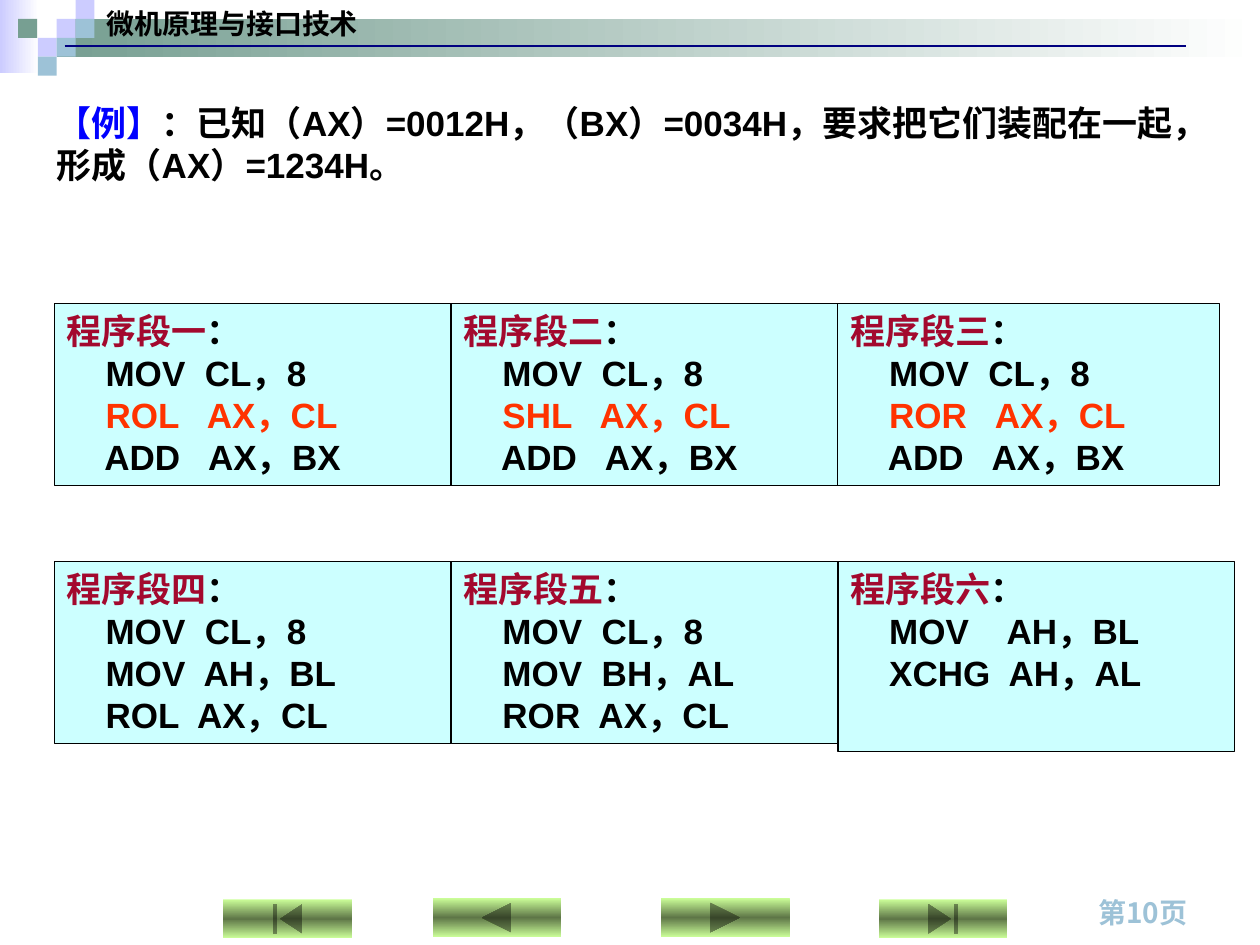
from copy import deepcopy
from typing import NamedTuple

from pptx import Presentation
from pptx.dml.color import RGBColor as RGB
from pptx.enum.shapes import MSO_CONNECTOR as CONN, MSO_SHAPE as SHAPE
from pptx.enum.text import MSO_ANCHOR as ANCHOR, PP_ALIGN as ALIGN
from pptx.oxml.ns import qn
from pptx.oxml.xmlchemy import OxmlElement
from pptx.util import Pt

COLORS = {
    "lilac": "CCCCFF", "white": "FFFFFF", "green": "779F92", "blue": "9DC2D7",
    "black": "000000", "navy": "000080", "lime": "CCFF99", "olive": "5E7647",
    "label": "0000FF", "box": "CCFFFF", "title": "A3092E", "accent": "FF3300",
}
CJK = "Noto Sans CJK SC"


class Box(NamedTuple):
    x: float
    y: float
    w: float
    h: float


class Run(NamedTuple):
    text: str
    color: str = "black"


class Segment(NamedTuple):
    number: str
    box: Box
    code: list[str]
    accent: int = -1  # index of the highlighted line


class Button(NamedTuple):
    shape: SHAPE
    box: Box


def rgb(name: str) -> RGB:
    return RGB.from_string(COLORS[name])


def set_gradient(sp, names: list[str], angle: int) -> None:
    fill = sp.fill
    fill.gradient()
    fill.gradient_angle = angle
    stops = sp._element.spPr.find(".//" + qn("a:gsLst"))
    for _ in range(len(names) - 2):
        stops.append(deepcopy(stops[-1]))
    for i, (stop, name) in enumerate(zip(fill.gradient_stops, names)):
        stop.color.rgb = rgb(name)
        stop.position = i / (len(names) - 1)


def add_shape(slide, shape: SHAPE, box: Box, fills: list[str], angle: int = 0):
    sp = slide.shapes.add_shape(shape, *map(Pt, box))
    sp.shadow.inherit = False
    sp.line.fill.background()
    if len(fills) == 1:
        sp.fill.solid()
        sp.fill.fore_color.rgb = rgb(fills[0])
    else:
        set_gradient(sp, fills, angle)
    return sp


def write(sp, lines: list[list[Run]], size: float, font: str = "Arial") -> None:
    tf = sp.text_frame
    frame = {"word_wrap": True, "vertical_anchor": ANCHOR.TOP,
             "margin_left": Pt(7.2), "margin_right": Pt(7.2),
             "margin_top": Pt(3.6), "margin_bottom": Pt(3.6)}
    for name, value in frame.items():
        setattr(tf, name, value)
    for i, runs in enumerate(lines):
        p = tf.paragraphs[0] if i == 0 else tf.add_paragraph()
        p.alignment = ALIGN.LEFT
        for run in runs:
            r = p.add_run()
            r.text = run.text
            for name, value in {"size": Pt(size), "name": font, "bold": True}.items():
                setattr(r.font, name, value)
            r.font.color.rgb = rgb(run.color)
            ea = OxmlElement("a:ea")
            ea.set("typeface", CJK)
            r._r.get_or_add_rPr().append(ea)


def add_text(slide, box: Box, runs: list[Run], size: float, font: str) -> None:
    write(slide.shapes.add_textbox(*map(Pt, box)), [runs], size, font)


def add_segment(slide, seg: Segment) -> None:
    sp = add_shape(slide, SHAPE.RECTANGLE, seg.box, ["box"])
    sp.line.color.rgb = rgb("black")
    sp.line.width = Pt(0.75)
    lines = [[Run("程序段" + seg.number, "title"), Run("：")]]
    for i, code in enumerate(seg.code):
        lines.append([Run("    " + code, "accent" if i == seg.accent else "black")])
    write(sp, lines, 20)


def add_rule(slide, x1: float, x2: float, y: float) -> None:
    line = slide.shapes.add_connector(CONN.STRAIGHT, Pt(x1), Pt(y), Pt(x2), Pt(y))
    line.line.color.rgb = rgb("navy")
    line.line.width = Pt(1.25)
    line._element.spPr.append(OxmlElement("a:effectLst"))


# Header tiles: left, top, colour
TILE = 10.8
TILES = [(32.4, 10.8, "lilac"), (43.2, 0, "lilac"), (43.2, 10.8, "blue"),
         (21.6, 21.6, "lilac"), (10.4, 10.8, "green"), (32.4, 21.6, "blue"),
         (21.6, 32.4, "blue")]

BUTTONS = [
    Button(SHAPE.ACTION_BUTTON_BEGINNING, Box(127.4, 513.9, 74.2, 22.3)),
    Button(SHAPE.ACTION_BUTTON_BACK_OR_PREVIOUS, Box(247.2, 513.2, 73.4, 22.3)),
    Button(SHAPE.ACTION_BUTTON_FORWARD_OR_NEXT, Box(377.5, 513.2, 73.7, 22.3)),
    Button(SHAPE.ACTION_BUTTON_END, Box(502.2, 513.9, 73.4, 22.3)),
]

# Program segments: three columns, two rows
X1, X2, X3 = 31, 257.8, 478.8
TOP, BOTTOM, HEIGHT, WIDTH = 173.4, 320.8, 104, 226.8
LOAD, ADD = "MOV  CL，8", "ADD   AX，BX"
SEGMENTS = [
    Segment("一", Box(X1, TOP, WIDTH, HEIGHT), [LOAD, "ROL   AX，CL", ADD], 1),
    Segment("二", Box(X2, TOP, X3 - X2, HEIGHT), [LOAD, "SHL   AX，CL", ADD], 1),
    Segment("三", Box(X3, TOP, 218.2, HEIGHT), [LOAD, "ROR   AX，CL", ADD], 1),
    Segment("四", Box(X1, BOTTOM, WIDTH, HEIGHT),
            [LOAD, "MOV  AH，BL", "ROL  AX，CL"]),
    Segment("五", Box(X2, BOTTOM, WIDTH, HEIGHT),
            [LOAD, "MOV  BH，AL", "ROR  AX，CL"]),
    Segment("六", Box(X3, BOTTOM, WIDTH, 108.7), ["MOV    AH，BL", "XCHG  AH，AL"]),
]


def main() -> None:
    prs = Presentation()
    prs.slide_width, prs.slide_height = Pt(720), Pt(540)
    slide = prs.slides.add_slide(prs.slide_layouts[6])

    # Header band
    add_shape(slide, SHAPE.RECTANGLE, Box(0, 0, 22.3, 41.8), ["lilac", "white"])
    add_shape(slide, SHAPE.RECTANGLE, Box(32.4, 10.8, 687.6, 21.6), ["green", "white"])
    for x, y, color in TILES:
        add_shape(slide, SHAPE.RECTANGLE, Box(x, y, TILE, TILE), [color])
    add_text(slide, Box(54, 0, 623.5, 26.6), [Run("微机原理与接口技术")], 16, CJK)
    add_rule(slide, 36.9, 677.5, 26.1)

    # Footer: page number and navigation buttons
    add_text(slide, Box(620.6, 508.3, 90.7, 26.6), [Run("第10页", "blue")], 16, CJK)
    for button in BUTTONS:
        add_shape(slide, button.shape, button.box, ["lime", "olive", "lime"], 90)

    # Problem statement
    problem = "：已知（AX）=0012H，（BX）=0034H，要求把它们装配在一起，形成（AX）=1234H。"
    add_text(slide, Box(25.2, 54.7, 663.1, 55.4),
             [Run("【例】", "label"), Run(problem)], 20, "Arial")

    # Program segments
    for seg in SEGMENTS:
        add_segment(slide, seg)

    prs.save("out.pptx")


if __name__ == "__main__":
    main()
